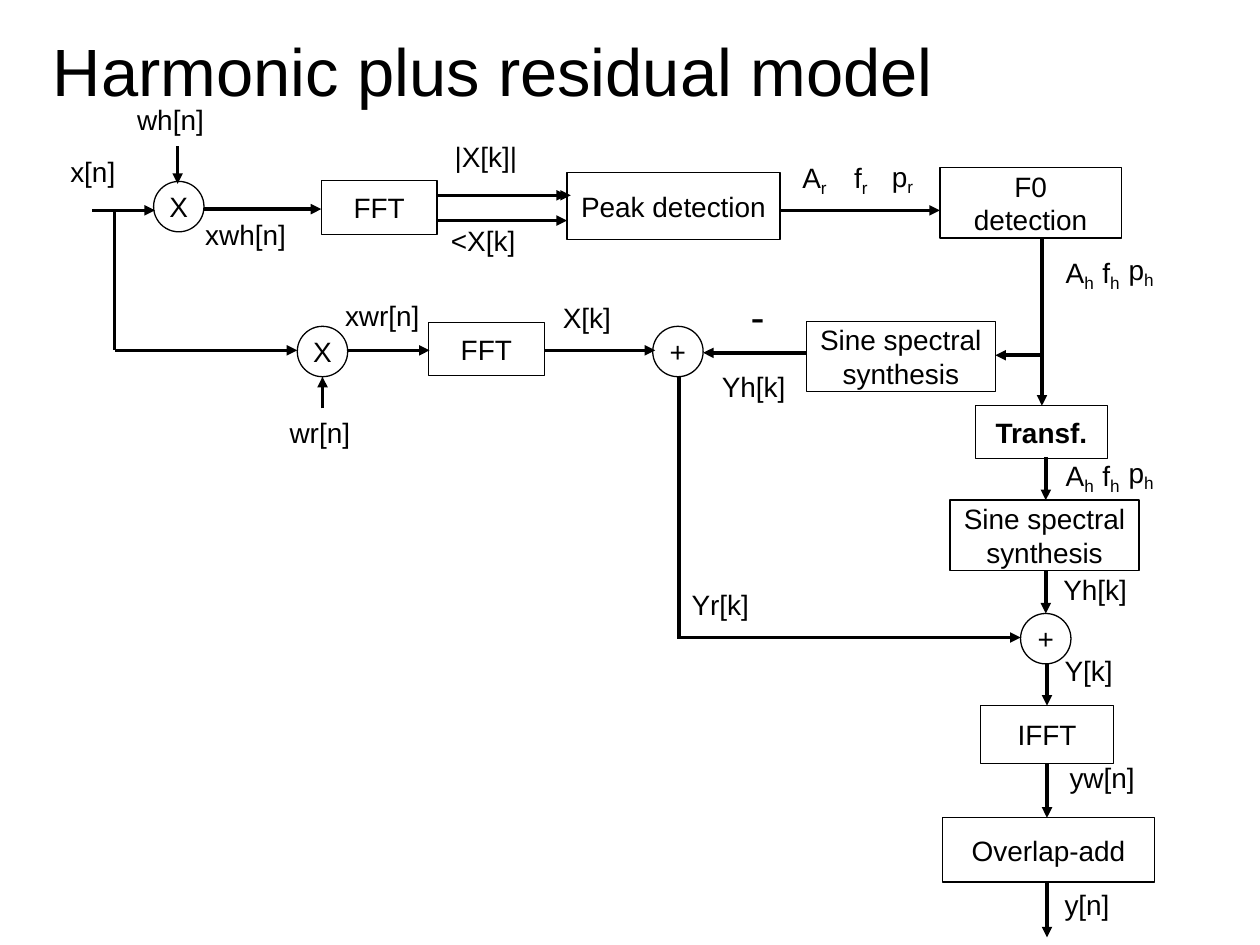
from dataclasses import dataclass

from lxml.etree import SubElement
from pptx import Presentation
from pptx.dml.color import RGBColor
from pptx.enum.shapes import MSO_CONNECTOR, MSO_SHAPE
from pptx.enum.text import MSO_ANCHOR, MSO_AUTO_SIZE, PP_ALIGN
from pptx.oxml.ns import qn
from pptx.slide import Slide
from pptx.util import Pt


def color(value):
    return RGBColor.from_string(value)


def write(frame, text, *, font, ink, size=16, bold=False, align=PP_ALIGN.LEFT,
          spacing=None, subscript="", margin=None, anchor=MSO_ANCHOR.TOP, wrap=True):
    frame.word_wrap = wrap
    frame.vertical_anchor = anchor
    if margin is not None:
        frame.margin_left = frame.margin_right = Pt(margin)
        frame.margin_top = frame.margin_bottom = Pt(margin)
    for number, line in enumerate(text.split("\n")):
        paragraph = frame.add_paragraph() if number else frame.paragraphs[0]
        paragraph.alignment = align
        paragraph.line_spacing = spacing
        for content, points in ((line, size), (subscript, 16.8)):
            if not content:
                continue
            run = paragraph.add_run()
            run.text = content
            run.font.name = font
            run.font.size = Pt(points)
            run.font.bold = bold
            run.font.color.rgb = color(ink)
            if content == subscript:
                run.font._element.set("baseline", "-20000")


@dataclass
class Diagram:
    """Draws the parts of a signal flow diagram on one slide."""
    slide: Slide
    font: str = "Arial"
    ink: str = "000000"

    def title(self, text, left, top, width, height):
        box = self.slide.shapes.add_textbox(Pt(left), Pt(top), Pt(width), Pt(height))
        write(box.text_frame, text, font=self.font, ink=self.ink, size=38.2,
              margin=0, anchor=MSO_ANCHOR.MIDDLE)

    def node(self, preset, text, left, top, width, height, **style):
        shape = self.slide.shapes.add_shape(preset, Pt(left), Pt(top), Pt(width), Pt(height))
        shape.shadow.inherit = False
        shape.fill.background()
        shape.line.color.rgb = color(self.ink)
        shape.line.width = Pt(0.75)
        write(shape.text_frame, text, font=self.font, ink=self.ink,
              align=PP_ALIGN.CENTER, anchor=MSO_ANCHOR.MIDDLE, **style)

    def block(self, text, left, top, width, height, bold=False):
        self.node(MSO_SHAPE.RECTANGLE, text, left, top, width, height, bold=bold)

    def operator(self, sign, left, top, diameter=28.8):
        self.node(MSO_SHAPE.OVAL, sign, left, top, diameter, diameter, margin=0, wrap=False)

    def label(self, text, left, top, width, height=30.2, **style):
        box = self.slide.shapes.add_textbox(Pt(left), Pt(top), Pt(width), Pt(height))
        write(box.text_frame, text, font=self.font, ink=self.ink, spacing=0.93,
              wrap=False, **style)
        box.text_frame.auto_size = MSO_AUTO_SIZE.SHAPE_TO_FIT_TEXT

    def signal(self, x1, y1, x2, y2, arrow=True):
        wire = self.slide.shapes.add_connector(
            MSO_CONNECTOR.STRAIGHT, Pt(x1), Pt(y1), Pt(x2), Pt(y2))
        wire.line.color.rgb = color(self.ink)
        wire.line.width = Pt(0)
        if arrow:
            SubElement(wire.line._get_or_add_ln(), qn("a:tailEnd"), type="triangle")
        SubElement(wire._element.spPr, qn("a:effectLst"))


BLOCKS = [
    ("FFT", 183.6, 103, 66.2, 31),
    ("Peak detection", 324, 98.6, 121.7, 38.2),
    ("F0\ndetection", 537.1, 95.8, 103.7, 40.3),
    ("FFT", 244.8, 184.3, 66.2, 30.2),
    ("Sine spectral\nsynthesis", 460.8, 183.6, 108, 40.3),
    ("Transf.", 557.3, 231.8, 75.6, 30.2, True),
    ("Sine spectral\nsynthesis", 542.9, 285.8, 108, 40.3),
    ("IFFT", 560.2, 403.2, 76.3, 33.1),
    ("Overlap-add", 538.6, 467.3, 121, 36.7),
]
OPERATORS = [("X", 87.8, 103.7), ("X", 169.9, 186.5), ("+", 373, 186.5), ("+", 583.2, 350.6)]
LABELS = [
    ("x[n]", 33.1, 86.4, 47.5),
    ("wh[n]", 71.3, 56.9, 52.6),
    ("xwh[n]", 110.2, 122.4, 61.9),
    ("|X[k]|", 252.7, 77.8, 60.5),
    ("<X[k]", 250.6, 126, 61.2),
    ("xwr[n]", 190.1, 168.5, 61.9),
    ("wr[n]", 158.4, 235.4, 51.8),
    ("X[k]", 314.6, 169.9, 61.9),
    ("Yh[k]", 405.4, 209.5, 61.2),
    ("Yr[k]", 388.1, 334.1, 61.2),
    ("Yh[k]", 600.5, 325.4, 61.2),
    ("Y[k]", 601.2, 371.5, 61.2),
    ("yw[n]", 604.1, 432.7, 72.7),
    ("y[n]", 601.2, 505.4, 58.3),
]
HARMONIC_COLUMNS = [("A", 601.9, 36), ("f", 622.8, 28.1), ("p", 637.9, 31)]
PARTIALS = [
    ("r", 87.8, 0.7, [("A", 451.4, 33.1), ("f", 481, 25.2), ("p", 502.6, 31)]),
    ("h", 141.8, 1.4, HARMONIC_COLUMNS),
    ("h", 257.8, 1.4, HARMONIC_COLUMNS),
]
SIGNALS = [
    (52.6, 120.2, 88.6, 120.2),
    (101.5, 83.5, 101.5, 105.1),
    (116.6, 119.5, 183.6, 119.5),
    (249.8, 111.6, 324, 111.6),
    (252, 111.6, 326.2, 111.6),
    (249.8, 126, 324, 126),
    (445.7, 120.2, 537.1, 120.2),
    (65.5, 120.2, 65.5, 200.2, False),
    (65.5, 200.2, 169.9, 200.2),
    (184.3, 233.3, 184.3, 215.3),
    (198.7, 200.2, 245.5, 200.2),
    (311, 200.2, 374.4, 200.2),
    (460.8, 201.6, 401.8, 201.6),
    (595.4, 136.1, 595.4, 231.8),
    (595.4, 203, 568.8, 203),
    (388.1, 215.3, 388.1, 365, False),
    (388.1, 364.3, 583.2, 364.3),
    (597.6, 261.4, 597.6, 285.8),
    (597.6, 326.2, 597.6, 350.6),
    (598.3, 379.4, 598.3, 403.2),
    (598.3, 436.3, 598.3, 467.3),
    (598.3, 503.3, 598.3, 535.7),
]


def main():
    deck = Presentation()
    deck.slide_width, deck.slide_height = Pt(720), Pt(540)
    diagram = Diagram(deck.slides.add_slide(deck.slide_layouts[6]))
    diagram.title("Harmonic plus residual model", 30.2, 7.9, 689.8, 64.1)
    for block in BLOCKS:
        diagram.block(*block)
    for operator in OPERATORS:
        diagram.operator(*operator)
    for signal in SIGNALS:
        diagram.signal(*signal)
    for label in LABELS:
        diagram.label(*label)
    diagram.label("-", 421.9, 164.9, 38.9, 33.8, size=24)
    for subscript, top, phase_lift, columns in PARTIALS:
        for symbol, left, width in columns:
            lift = phase_lift if symbol == "p" else 0
            diagram.label(symbol, left, top - lift, width, 32.4, subscript=subscript)
    deck.save("out.pptx")


if __name__ == "__main__":
    main()
